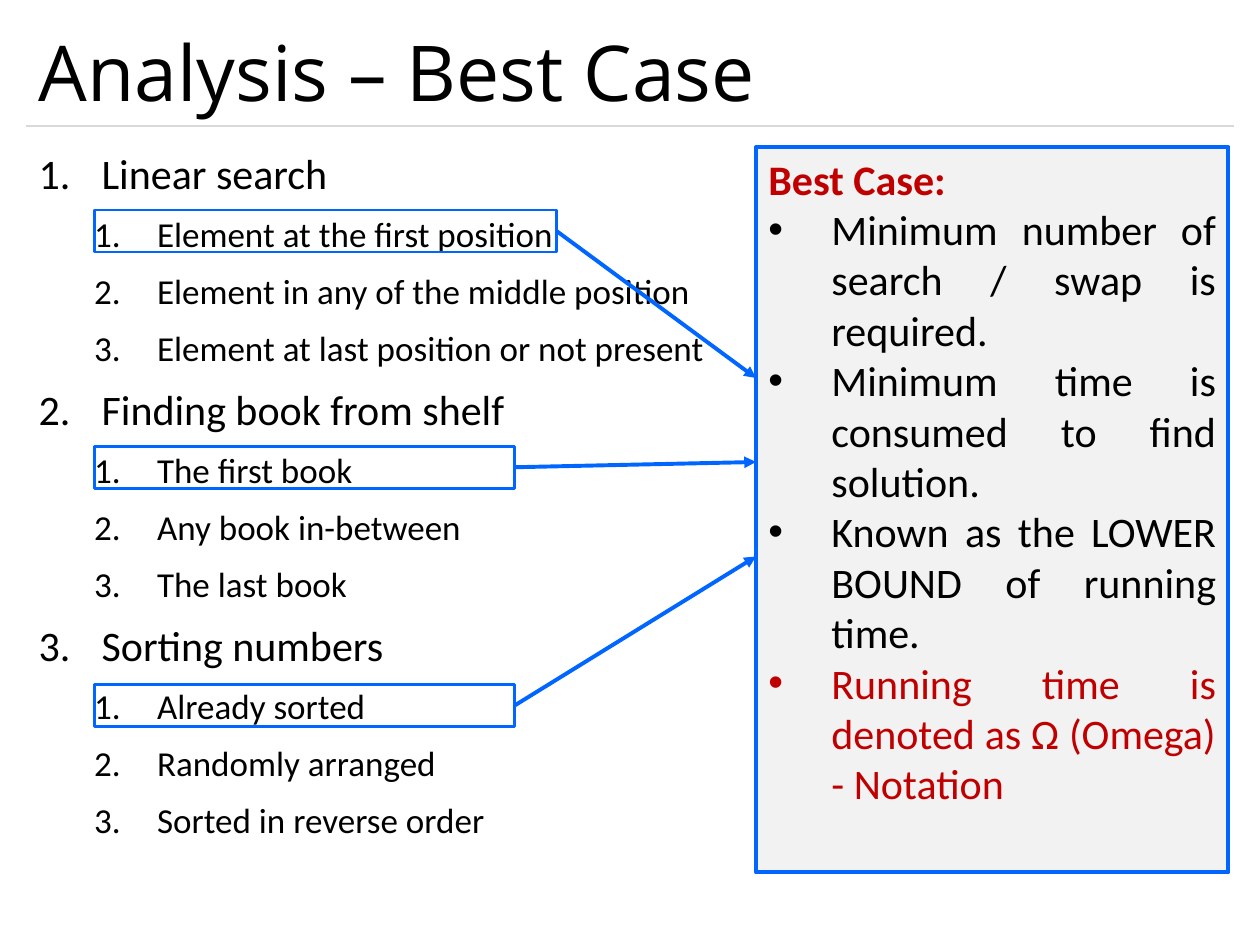
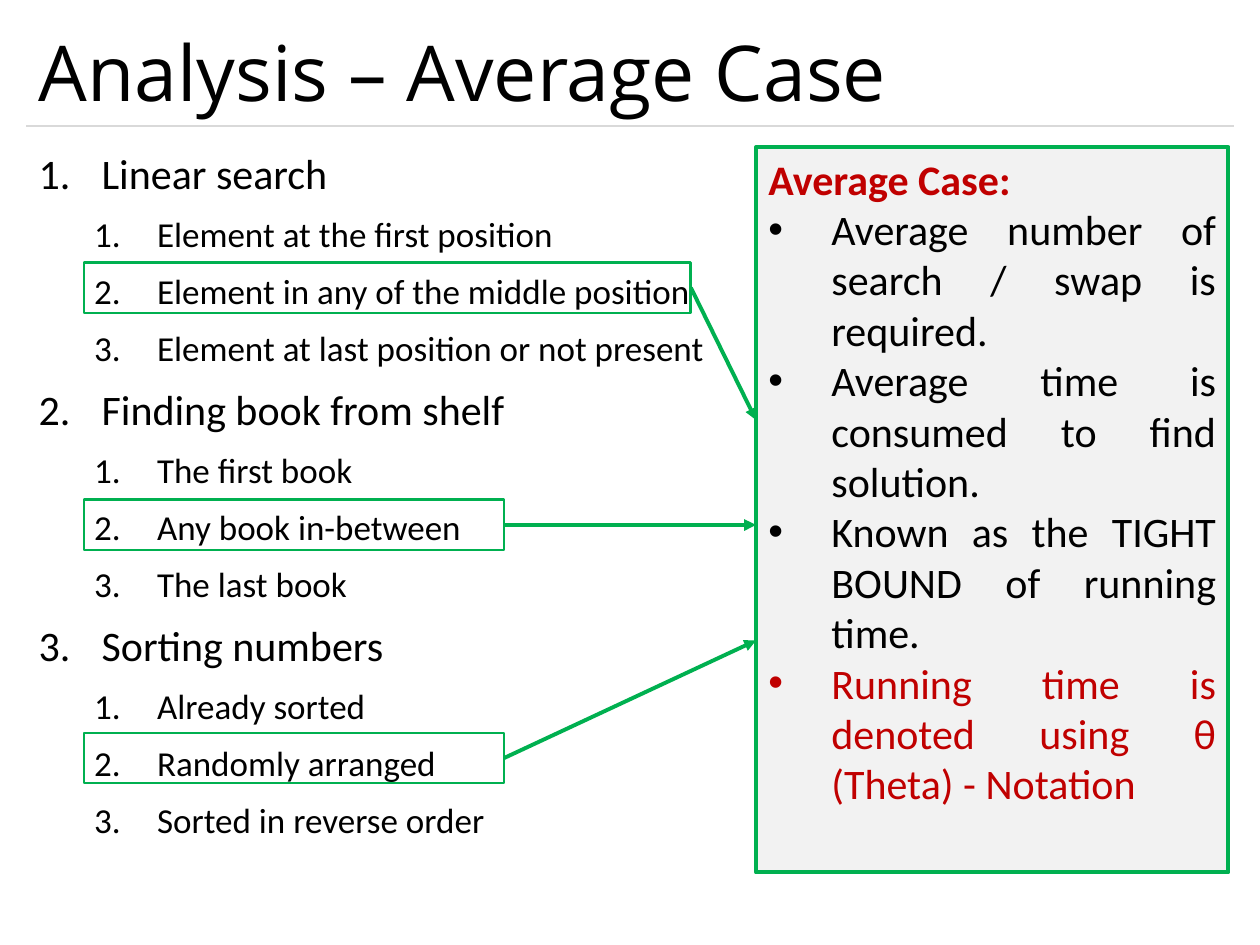
import pptx
import pptx.util
import pptx.dml.color
import pptx.enum.shapes
import pptx.enum.text
import pptx.oxml.ns
import lxml.etree

COLORS = {"text": "000000", "rule": "D9D9D9", "panel": "F2F2F2",
          "accent": "C00000", "best": "0066FF", "average": "00B050"}
TITLE_FONT, BODY_FONT = "Open Sans", "Calibri"

# Slide grid: 120 columns by 90 rows of square cells
COLUMNS, ROWS = 120, 90
MARGIN, CONTENT_WIDTH = 2.5, 115
PANEL_LEFT, PANEL_TOP, PANEL_WIDTH, PANEL_HEIGHT = 72, 14, 45, 69.1

TOPICS = {
    "Linear search": ["Element at the first position",
                      "Element in any of the middle position",
                      "Element at last position or not present"],
    "Finding book from shelf": ["The first book", "Any book in-between",
                                "The last book"],
    "Sorting numbers": ["Already sorted", "Randomly arranged",
                        "Sorted in reverse order"],
}

# Each highlight: (top row, width in columns, row where its arrow meets the panel)
CASES = [
    {"name": "Best Case", "color": "best", "left": 9, "height": 4,
     "highlights": [(20, 44, 36), (42.5, 40, 44), (65.2, 40, 53)],
     "facts": ["Minimum number of search / swap is required.",
               "Minimum time is consumed to find solution.",
               "Known as the LOWER BOUND of running time."],
     "notation": "Running time is denoted as Ω (Omega) - Notation"},
    {"name": "Average Case", "color": "average", "left": 8, "height": 4.8,
     "highlights": [(25, 57.8, 40), (47.6, 40, 50), (69.8, 40, 61)],
     "facts": ["Average number of search / swap is required.",
               "Average time is consumed to find solution.",
               "Known as the TIGHT BOUND of running time."],
     "notation": "Running time is denoted using θ (Theta) - Notation"},
]


def rgb(name):
    return pptx.dml.color.RGBColor.from_string(COLORS[name])


def add_child(parent, tag, **attributes):
    return lxml.etree.SubElement(parent, pptx.oxml.ns.qn(tag), attributes)


def write(frame, text, size=24, font=BODY_FONT, color="text", bold=False,
          level=0, indent=None, bullet=None, spacing=None, after=None):
    """Add one formatted paragraph, using the first one while it is empty."""
    first = frame.paragraphs[0]
    paragraph = frame.add_paragraph() if first.runs else first
    paragraph.level = level
    paragraph.alignment = (pptx.enum.text.PP_ALIGN.JUSTIFY if bullet
                           else pptx.enum.text.PP_ALIGN.LEFT)
    if spacing:
        paragraph.line_spacing = spacing
    if after:
        paragraph.space_after = pptx.util.Pt(after)
    if bullet:
        properties = paragraph._p.get_or_add_pPr()
        properties.set("marL", str(pptx.util.Inches(indent)))
        properties.set("indent", str(pptx.util.Inches(-0.5)))
        if bullet == "number":
            add_child(properties, "a:buFont", typeface="+mj-lt")
            add_child(properties, "a:buAutoNum", type="arabicPeriod")
        else:
            add_child(properties, "a:buFont", typeface="Arial")
            add_child(properties, "a:buChar", char=bullet)
    run = paragraph.add_run()
    run.text = text
    run.font.size = pptx.util.Pt(size)
    run.font.name = font
    run.font.bold = bold
    run.font.color.rgb = rgb(color)


class Deck:
    def __init__(self):
        self.presentation = pptx.Presentation()
        self.presentation.slide_width = pptx.util.Inches(10)
        self.presentation.slide_height = pptx.util.Inches(7.5)
        self.slide = None

    def grid(self, *cells):
        """Turn alternating column and row values into slide lengths."""
        column = self.presentation.slide_width / COLUMNS
        row = self.presentation.slide_height / ROWS
        return [int(cell * (row if i % 2 else column))
                for i, cell in enumerate(cells)]

    def new_slide(self, title):
        self.slide = self.presentation.slides.add_slide(
            self.presentation.slide_layouts[6])
        self.line((MARGIN, 12), (MARGIN + CONTENT_WIDTH, 12), "rule", 0.75)
        heading = self.text(MARGIN, 1.5, CONTENT_WIDTH, 10.5)
        heading.vertical_anchor = pptx.enum.text.MSO_ANCHOR.MIDDLE
        write(heading, title, size=44, font=TITLE_FONT)

    def text(self, *place):
        frame = self.slide.shapes.add_textbox(*self.grid(*place)).text_frame
        frame.word_wrap = True
        return frame

    def box(self, *place, line, width, fill=None):
        shape = self.slide.shapes.add_shape(
            pptx.enum.shapes.MSO_SHAPE.RECTANGLE, *self.grid(*place))
        shape.shadow.inherit = False
        shape.line.color.rgb = rgb(line)
        shape.line.width = pptx.util.Pt(width)
        if fill:
            shape.fill.solid()
            shape.fill.fore_color.rgb = rgb(fill)
        else:
            shape.fill.background()
        shape.text_frame.word_wrap = True
        shape.text_frame.vertical_anchor = pptx.enum.text.MSO_ANCHOR.TOP
        return shape.text_frame

    def line(self, start, end, color, width, arrow=False):
        connector = self.slide.shapes.add_connector(
            pptx.enum.shapes.MSO_CONNECTOR.STRAIGHT, *self.grid(*start, *end))
        connector.line.color.rgb = rgb(color)
        connector.line.width = pptx.util.Pt(width)
        if arrow:
            add_child(connector.line._ln, "a:tailEnd", type="triangle")
        add_child(connector._element.spPr, "a:effectLst")

    def topics(self):
        outline = self.text(MARGIN, 13, CONTENT_WIDTH, 70)
        common = {"bullet": "number", "spacing": 1.1, "after": 6}
        for topic, situations in TOPICS.items():
            write(outline, topic, indent=0.5, **common)
            for situation in situations:
                write(outline, situation, size=20, level=1, indent=0.94, **common)

    def panel(self, case):
        panel = self.box(PANEL_LEFT, PANEL_TOP, PANEL_WIDTH, PANEL_HEIGHT,
                         line=case["color"], width=2.25, fill="panel")
        write(panel, case["name"] + ":", color="accent", bold=True)
        for fact in case["facts"]:
            write(panel, fact, indent=0.5, bullet="•")
        write(panel, case["notation"], color="accent", indent=0.5, bullet="•")

    def highlights(self, case):
        left, height, color = case["left"], case["height"], case["color"]
        for top, width, target in case["highlights"]:
            self.box(left, top, width, height, line=color, width=1.5)
            self.line((left + width, top + height / 2), (PANEL_LEFT, target),
                      color, 2.25, arrow=True)


def main():
    deck = Deck()
    for case in CASES:
        deck.new_slide("Analysis – " + case["name"])
        deck.topics()
        deck.panel(case)
        deck.highlights(case)
    deck.presentation.save("out.pptx")


if __name__ == "__main__":
    main()
